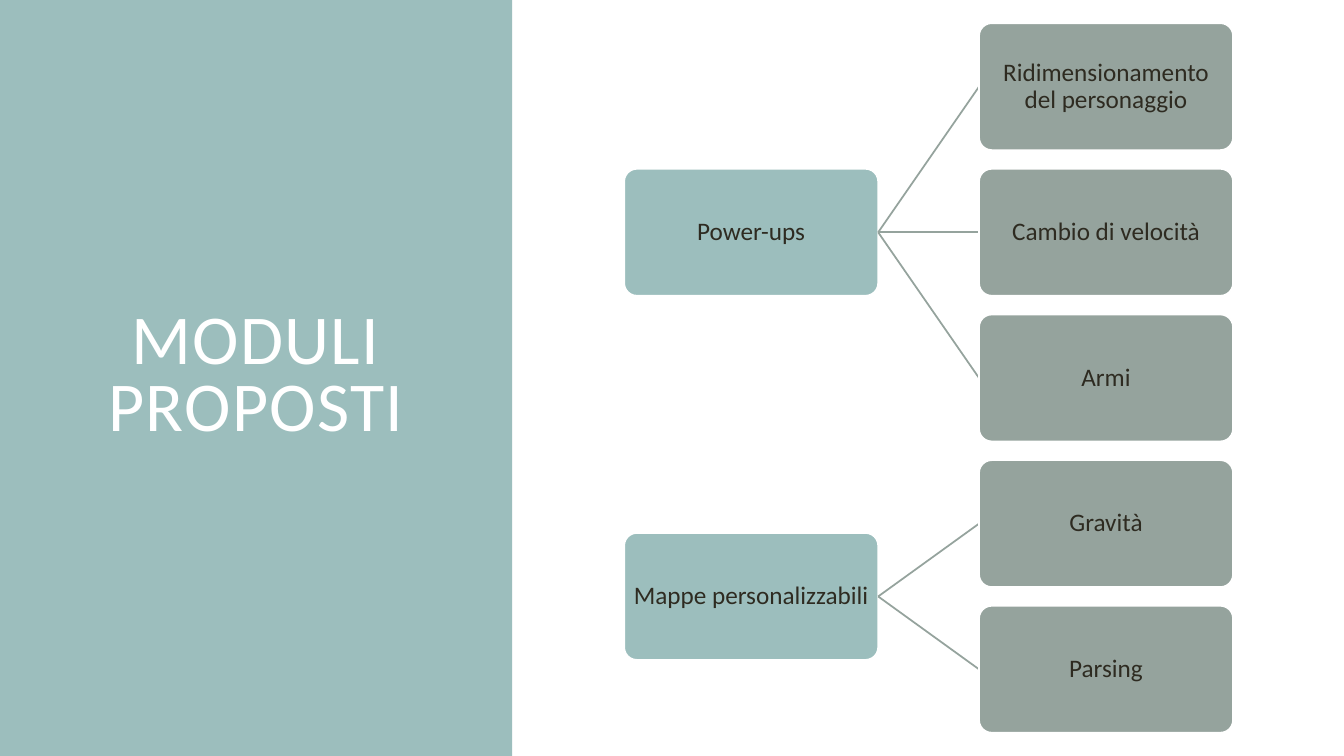
from lxml.etree import SubElement
from pptx import Presentation
from pptx.dml.color import RGBColor
from pptx.enum.shapes import MSO_CONNECTOR, MSO_SHAPE
from pptx.enum.text import MSO_ANCHOR, MSO_AUTO_SIZE, PP_ALIGN
from pptx.oxml.ns import qn
from pptx.util import Inches, Pt

HEADING = "MODULI PROPOSTI"
MODULES = {
    "Power-ups": ["Ridimensionamento del personaggio", "Cambio di velocità", "Armi"],
    "Mappe personalizzabili": ["Gravità", "Parsing"],
}

TEAL = RGBColor(0x9C, 0xBE, 0xBD)
SAGE = RGBColor(0x95, 0xA3, 0x9D)
WHITE = RGBColor(0xFF, 0xFF, 0xFF)
INK = RGBColor(0x2E, 0x2B, 0x21)

PANEL_WIDTH = 5.08
MODULE_LEFT, FEATURE_LEFT = 6.19, 9.71
BOX_WIDTH, BOX_HEIGHT = 2.52, 1.26
FIRST_TOP, LAST_TOP = 0.23, 6.01
EDGE = Pt(1.25)

HEADING_FONT = {"name": "Calibri", "size": Pt(50), "bold": False}
BOX_FONT = {"name": "Calibri", "size": Pt(18), "bold": False}
HEADING_FRAME = {"word_wrap": True, "auto_size": MSO_AUTO_SIZE.NONE,
                 "vertical_anchor": MSO_ANCHOR.MIDDLE}
BOX_FRAME = HEADING_FRAME | {
    f"margin_{side}": Inches(0.05) for side in ("left", "right", "top", "bottom")}
HEADING_PARAGRAPH = {"alignment": PP_ALIGN.CENTER, "line_spacing": 0.8}
BOX_PARAGRAPH = {"alignment": PP_ALIGN.CENTER, "line_spacing": 0.9}


def apply(target, values):
    for attribute, value in values.items():
        setattr(target, attribute, value)


def write(shape, text, frame_format, paragraph_format, font_format, color):
    frame = shape.text_frame
    apply(frame, frame_format)
    paragraph = frame.paragraphs[0]
    apply(paragraph, paragraph_format)
    run = paragraph.add_run()
    run.text = text
    apply(run.font, font_format)
    run.font.color.rgb = color
    return run


def add_block(slide, kind, bounds, fill):
    block = slide.shapes.add_shape(kind, *map(Inches, bounds))
    block.shadow.inherit = False
    block.fill.solid()
    block.fill.fore_color.rgb = fill
    return block


def add_box(slide, text, left, middle, fill):
    bounds = (left, middle - BOX_HEIGHT / 2, BOX_WIDTH, BOX_HEIGHT)
    box = add_block(slide, MSO_SHAPE.ROUNDED_RECTANGLE, bounds, fill)
    box.adjustments[0] = 0.1
    box.line.color.rgb = WHITE
    box.line.width = EDGE
    write(box, text, BOX_FRAME, BOX_PARAGRAPH, BOX_FONT, INK)


def add_branch(slide, start, end):
    branch = slide.shapes.add_connector(
        MSO_CONNECTOR.STRAIGHT, *map(Inches, (*start, *end)))
    branch.line.color.rgb = SAGE
    branch.line.width = EDGE
    SubElement(branch._element.spPr, qn("a:effectLst"))


def add_heading(slide):
    panel = add_block(slide, MSO_SHAPE.RECTANGLE, (0, 0, PANEL_WIDTH, 7.5), TEAL)
    panel.line.fill.background()
    heading = slide.shapes.title
    heading._element.addprevious(panel._element)
    apply(heading, {"left": Inches(0), "top": Inches(0.7),
                    "width": Inches(PANEL_WIDTH), "height": Inches(6.09)})
    run = write(heading, HEADING, HEADING_FRAME, HEADING_PARAGRAPH, HEADING_FONT, WHITE)
    run.font._element.set("spc", "100")


def add_tree(slide):
    count = sum(map(len, MODULES.values()))
    pitch = (LAST_TOP - FIRST_TOP) / (count - 1)
    row = 0
    for module, features in MODULES.items():
        middles = [FIRST_TOP + BOX_HEIGHT / 2 + pitch * (row + i)
                   for i in range(len(features))]
        row += len(features)
        module_middle = sum(middles) / len(middles)
        add_box(slide, module, MODULE_LEFT, module_middle, TEAL)
        for feature, middle in zip(features, middles):
            add_branch(slide, (MODULE_LEFT + BOX_WIDTH, module_middle),
                       (FEATURE_LEFT, middle))
            add_box(slide, feature, FEATURE_LEFT, middle, SAGE)


def main():
    deck = Presentation()
    apply(deck, {"slide_width": Inches(13.33), "slide_height": Inches(7.5)})
    slide = deck.slides.add_slide(deck.slide_layouts[5])
    add_heading(slide)
    add_tree(slide)
    deck.save("out.pptx")


if __name__ == "__main__":
    main()
